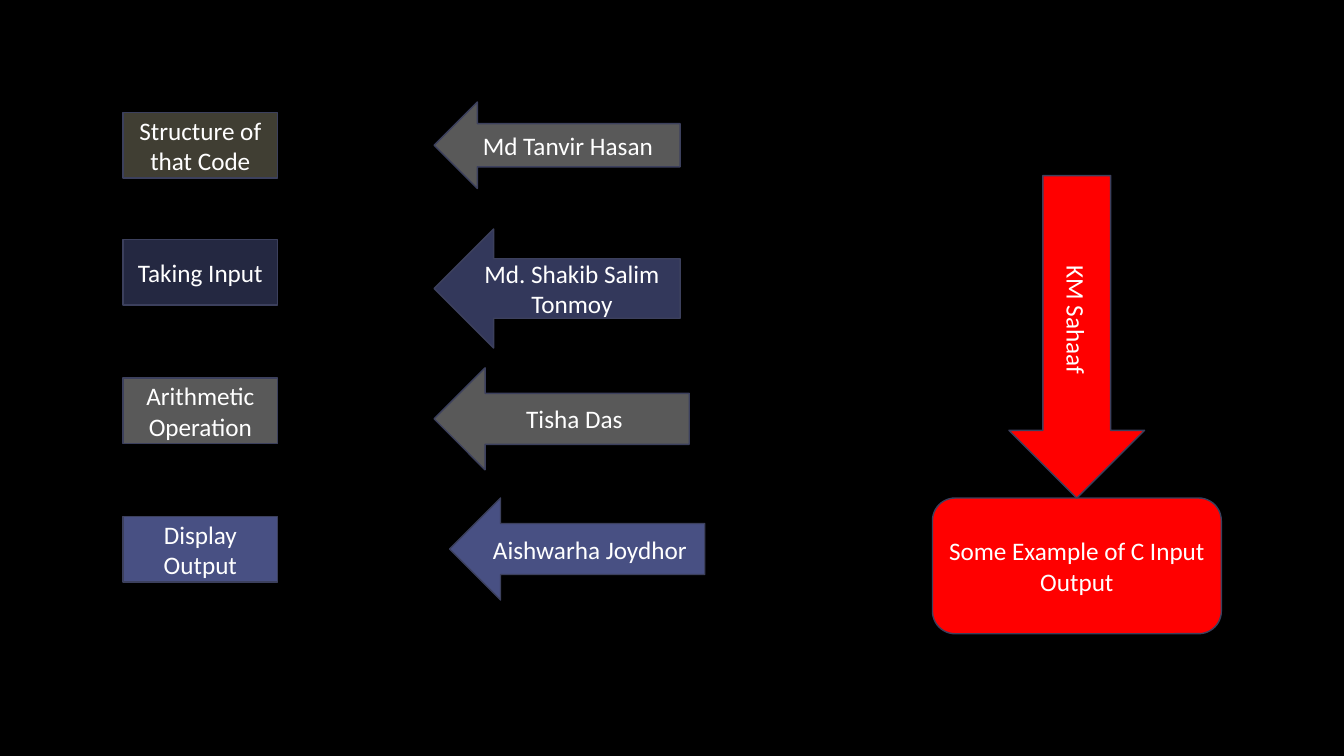
from pptx import Presentation
from pptx.dml.color import RGBColor
from pptx.enum.shapes import MSO_SHAPE
from pptx.enum.text import MSO_ANCHOR, PP_ALIGN
from pptx.util import Cm, Pt

RECT = MSO_SHAPE.RECTANGLE
ROUND = MSO_SHAPE.ROUNDED_RECTANGLE
LEFT = MSO_SHAPE.LEFT_ARROW
RIGHT = MSO_SHAPE.RIGHT_ARROW
MIDDLE = MSO_ANCHOR.MIDDLE
CENTER = PP_ALIGN.CENTER

COLORS = {
    "black": "000000",
    "white": "FFFFFF",
    "edge": "3C405D",
    "olive": "403E33",
    "navy": "242841",
    "slate": "33385B",
    "gray": "595959",
    "blue": "485083",
    "red": "FF0000",
}


def color(name):
    return RGBColor.from_string(COLORS[name])


def add_label(kind, text, fill, left, top, width, height):
    """Add a filled shape with centred text; lengths are in centimetres."""
    shape = slide.shapes.add_shape(
        kind, Cm(left), Cm(top), Cm(width), Cm(height))
    shape.shadow.inherit = False
    shape.fill.solid()
    shape.fill.fore_color.rgb = color(fill)
    shape.line.color.rgb = color("edge")
    shape.line.width = Pt(1)
    frame = shape.text_frame
    frame.word_wrap = True
    frame.vertical_anchor = MIDDLE
    frame.text = text
    line = frame.paragraphs[0]
    line.alignment = CENTER
    font = line.runs[0].font
    font.name = "Calibri"
    font.size = Pt(18)
    font.color.rgb = color("white")
    return shape


deck = Presentation()
deck.slide_width = Cm(33.87)
deck.slide_height = Cm(19.05)
slide = deck.slides.add_slide(deck.slide_layouts[6])
slide.background.fill.solid()
slide.background.fill.fore_color.rgb = color("black")

# Topics: text, fill, top
topics = [
    ("Structure of that Code", "olive", 2.84),
    ("Taking Input", "navy", 6.04),
    ("Arithmetic Operation", "gray", 9.53),
    ("Display Output", "blue", 13.02),
]
for text, fill, top in topics:
    add_label(RECT, text, fill, 3.1, top, 3.9, 1.65)

# Speakers: text, fill, left, top, width, height
speakers = [
    ("Md Tanvir Hasan", "gray", 10.94, 2.57, 6.2, 2.18),
    ("Md. Shakib Salim Tonmoy", "slate", 10.94, 5.77, 6.2, 3),
    ("Tisha Das", "gray", 10.94, 9.27, 6.43, 2.57),
    ("Aishwarha Joydhor", "blue", 11.33, 12.55, 6.43, 2.57),
]
for text, fill, *place in speakers:
    add_label(LEFT, text, fill, *place)

add_label(ROUND, "Some Example of C Input Output", "red",
          23.5, 12.55, 7.28, 3.42)
down = add_label(RIGHT, "KM Sahaaf", "red", 23.07, 6.78, 8.13, 3.42)
down.rotation = 90

deck.save("out.pptx")
